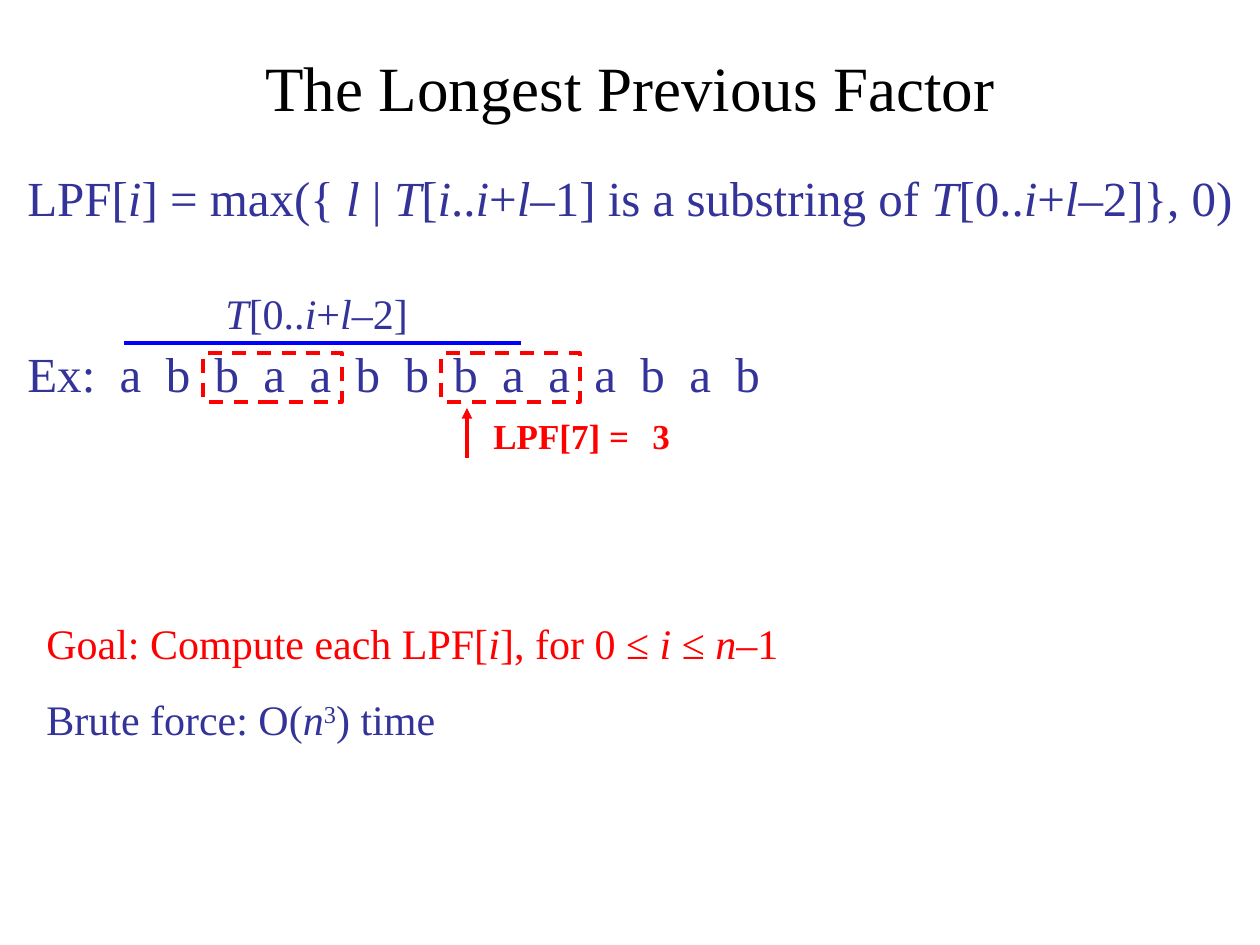
"""Build the slide that defines the Longest Previous Factor."""
from dataclasses import dataclass

from lxml.etree import SubElement
from pptx import Presentation
from pptx.dml.color import RGBColor as Color
from pptx.enum.dml import MSO_LINE as Dash
from pptx.enum.shapes import MSO_CONNECTOR as Connector, MSO_SHAPE as Shape
from pptx.enum.text import MSO_ANCHOR as Anchor, PP_ALIGN as Align
from pptx.oxml.ns import qn
from pptx.util import Pt

PX = 914400 // 126


@dataclass(frozen=True)
class Theme:
    """Colours, font and type sizes of the slide."""
    font: str = "Times New Roman"
    ink: Color = Color(0x00, 0x00, 0x00)
    navy: Color = Color(0x33, 0x33, 0x99)
    red: Color = Color(0xFF, 0x00, 0x00)
    blue: Color = Color(0x00, 0x00, 0xFF)
    title: int = 36
    formula: int = 28
    body: int = 24
    label: int = 20


THEME = Theme()


def px(*lengths):
    """Turn pixel lengths into EMU."""
    return [length * PX for length in lengths]


def add_run(paragraph, text, size, color, italic=False, bold=False):
    """Add one formatted run and return it."""
    run = paragraph.add_run()
    run.text = text
    font = run.font
    font.name, font.size, font.color.rgb = THEME.font, Pt(size), color
    font.italic, font.bold = italic, bold
    return run


def add_math(paragraph, parts, size, color):
    """Add runs that alternate between upright and italic."""
    for index, part in enumerate(parts):
        if part:
            add_run(paragraph, part, size, color, italic=index % 2 == 1)


def add_text_frame(slide, *box):
    """Add a wrapping text box and return its frame."""
    frame = slide.shapes.add_textbox(*px(*box)).text_frame
    frame.word_wrap = True
    return frame


def set_title(slide, text):
    """Place and format the title."""
    title = slide.shapes.title
    title.left, title.top, title.width, title.height = px(63, 38, 1134, 97)
    frame = title.text_frame
    frame.vertical_anchor = Anchor.MIDDLE
    frame.paragraphs[0].alignment = Align.CENTER
    add_run(frame.paragraphs[0], text, THEME.title, THEME.ink)


def add_line(slide, start, end, color, width, arrow=False):
    """Add a straight line, with an arrowhead at its end if asked."""
    line = slide.shapes.add_connector(Connector.STRAIGHT, *px(*start, *end))
    line.line.color.rgb, line.line.width = color, Pt(width)
    if arrow:
        SubElement(line.line._get_or_add_ln(), qn("a:tailEnd"), type="triangle")
    SubElement(line._element.spPr, qn("a:effectLst"))


def add_factor_frame(slide, left):
    """Add a dashed frame around one occurrence of the factor."""
    frame = slide.shapes.add_shape(Shape.RECTANGLE, *px(left, 353, 139, 49))
    frame.shadow.inherit = False
    frame.fill.background()
    frame.line.color.rgb, frame.line.width = THEME.red, Pt(2)
    frame.line.dash_style = Dash.DASH


def add_definition(slide):
    """Add the definition and the letter-spaced example string."""
    frame = add_text_frame(slide, 15, 161, 1230, 251)
    formula = ("LPF[", "i", "] = max({ ", "l", " | ", "T", "[", "i", "..", "i", "+", "l",
               "–1] is a substring of ", "T", "[0..", "i", "+", "l", "–2]}, 0)")
    add_math(frame.paragraphs[0], formula, THEME.formula, THEME.navy)
    example = frame.add_paragraph()
    example.space_before = Pt(67)
    add_run(example, "Ex", THEME.formula, THEME.navy)
    letters = add_run(example, ": a b b a a b b b a a a b a b", THEME.formula, THEME.navy)
    letters.font._element.set("spc", "350")


def add_prefix(slide):
    """Add the overline of the searched prefix and its label."""
    add_line(slide, (124, 343), (521, 343), THEME.blue, 2.5)
    label = add_text_frame(slide, 213, 281, 218, 63).paragraphs[0]
    add_math(label, ("", "T", "[0..", "i", "+", "l", "–2]"), THEME.body, THEME.navy)


def add_result(slide):
    """Add the arrow at position 7 and the value found there."""
    add_line(slide, (467, 458), (467, 408), THEME.red, 2, arrow=True)
    for text, left, width in (("LPF[7] =", 481, 179), ("3", 640, 39)):
        label = add_text_frame(slide, left, 408, width, 55).paragraphs[0]
        add_run(label, text, THEME.label, THEME.red, bold=True)


def add_goal(slide):
    """Add the goal and the cost of brute force."""
    frame = add_text_frame(slide, 34, 611, 1191, 140)
    goal = ("Goal: Compute each LPF[", "i", "], for 0 ≤ ", "i", " ≤ ", "n", "–1")
    add_math(frame.paragraphs[0], goal, THEME.body, THEME.red)
    cost = frame.add_paragraph()
    cost.space_before = Pt(15)
    add_math(cost, ("Brute force: O(", "n"), THEME.body, THEME.navy)
    exponent = add_run(cost, "3", THEME.body, THEME.navy)
    exponent.font._element.set("baseline", "30000")
    add_run(cost, ") time", THEME.body, THEME.navy)


def main():
    """Build and save the slide."""
    deck = Presentation()
    deck.slide_width, deck.slide_height = px(1260, 945)
    slide = deck.slides.add_slide(deck.slide_layouts[5])
    set_title(slide, "The Longest Previous Factor")
    add_definition(slide)
    add_result(slide)
    add_prefix(slide)
    for left in (441, 203):
        add_factor_frame(slide, left)
    add_goal(slide)
    deck.save("out.pptx")


if __name__ == "__main__":
    main()
